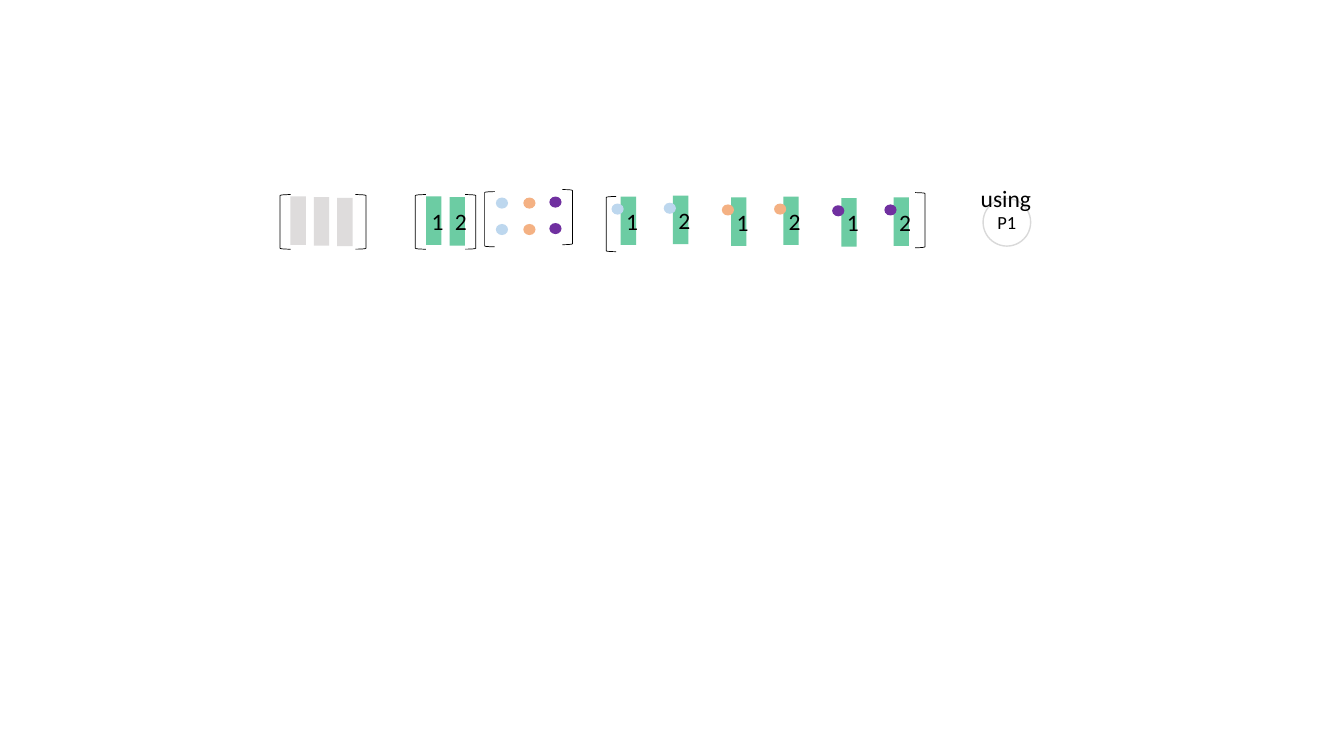
from lxml import etree
from pptx import Presentation
from pptx.dml.color import RGBColor
from pptx.enum import shapes, text
from pptx.oxml import ns
from pptx.util import Pt

GREY = RGBColor(0xD0, 0xCE, 0xCE)
GREEN = RGBColor(0x2E, 0xB7, 0x7C)
BLUE = RGBColor(0xBD, 0xD7, 0xEE)
ORANGE = RGBColor(0xF4, 0xB1, 0x83)
PURPLE = RGBColor(0x70, 0x30, 0xA0)
RING = RGBColor(0xD9, 0xD9, 0xD9)
BLACK = RGBColor(0, 0, 0)

FONT = "Calibri"
LABEL_SIZE = 16.8
BAR_WIDTH, BAR_HEIGHT = 11, 34.6
DOT_WIDTH, DOT_HEIGHT = 8.7, 7.9
BAR_STEP, BAR_DROP = 16.7, 0.5
ROW_STEP = 18.9
PRODUCT_STEP, PRODUCT_DROP = 78.8, 0.6
PAIR_STEP = 37.3

# (left, top, labels, colour)
BAR_GROUPS = [
    (207.5, 140.3, ["", "", ""], GREY),
    (304.4, 140.3, ["1", "2"], GREEN),
]
# (left, top, colour) of the upper dot of each column
DOT_COLUMNS = [(354.2, 141.1, BLUE), (373.8, 141.1, ORANGE), (392.4, 140.4, PURPLE)]
PRODUCTS_LEFT, PRODUCTS_TOP = 443.4, 140.4
DOT_ON_BAR = (-6.6, 5)
# (opening left, top), (closing left, top), width, height
BRACKETS = [
    ((200, 139), (253.9, 139), 7.6, 39),
    ((296.7, 139), (332.3, 139), 7.6, 39),
    ((346.2, 136.9), (401.8, 135.4), 7.1, 39.4),
    ((433, 140.4), (653.6, 137.6), 7.1, 39.4),
]

deck = Presentation()
deck.slide_width, deck.slide_height = Pt(960), Pt(540)
page = deck.slides.add_slide(deck.slide_layouts[6])


def add_piece(kind, left, top, width, height, fill=None, line=None, line_width=0.5):
    piece = page.shapes.add_shape(kind, Pt(left), Pt(top), Pt(width), Pt(height))
    piece.shadow.inherit = False
    if fill is None:
        piece.fill.background()
    else:
        piece.fill.solid()
        piece.fill.fore_color.rgb = fill
    if line is None:
        piece.line.fill.background()
    else:
        piece.line.color.rgb = line
        piece.line.width = Pt(line_width)
    return piece


def write(box, words, size, align):
    para = box.text_frame.paragraphs[0]
    para.alignment = align
    span = para.add_run()
    span.text = words
    span.font.name, span.font.size = FONT, Pt(size)
    span.font.color.rgb = BLACK


def add_bar(left, top, label, colour):
    bar = add_piece(shapes.MSO_SHAPE.RECTANGLE, left, top, BAR_WIDTH, BAR_HEIGHT, colour)
    rgb = bar._element.spPr.find(ns.qn("a:solidFill"))[0]
    etree.SubElement(rgb, ns.qn("a:alpha")).set("val", "70000")
    if label:
        write(bar, label, LABEL_SIZE, text.PP_ALIGN.CENTER)


def add_dot(left, top, colour):
    add_piece(shapes.MSO_SHAPE.OVAL, left, top, DOT_WIDTH, DOT_HEIGHT, colour)


for left, top, labels, colour in BAR_GROUPS:
    for i, label in enumerate(labels):
        add_bar(left + i * BAR_STEP, top + i * BAR_DROP, label, colour)

for left, top, colour in DOT_COLUMNS:
    for row in range(2):
        add_dot(left, top + row * ROW_STEP, colour)

for i, (_, _, colour) in enumerate(DOT_COLUMNS):
    for j, label in enumerate(["1", "2"]):
        left = PRODUCTS_LEFT + i * PRODUCT_STEP + j * PAIR_STEP
        top = PRODUCTS_TOP + (i - j) * PRODUCT_DROP
        add_bar(left, top, label, GREEN)
        add_dot(left + DOT_ON_BAR[0], top + DOT_ON_BAR[1], colour)

for opening, closing, width, height in BRACKETS:
    add_piece(shapes.MSO_SHAPE.LEFT_BRACKET, *opening, width, height, line=BLACK)
    add_piece(shapes.MSO_SHAPE.RIGHT_BRACKET, *closing, width, height, line=BLACK)

ring = add_piece(shapes.MSO_SHAPE.OVAL, 702.2, 141.8, 34, 34, line=RING, line_width=1)
frame = ring.text_frame
frame.margin_left = frame.margin_right = frame.margin_top = frame.margin_bottom = 0
write(ring, "P1", 13.2, text.PP_ALIGN.CENTER)

caption = page.shapes.add_textbox(Pt(693.4), Pt(128.2), Pt(51.1), Pt(27.4))
caption.text_frame.word_wrap = False
caption.text_frame.auto_size = text.MSO_AUTO_SIZE.SHAPE_TO_FIT_TEXT
write(caption, "using", LABEL_SIZE, text.PP_ALIGN.LEFT)

deck.save("out.pptx")
